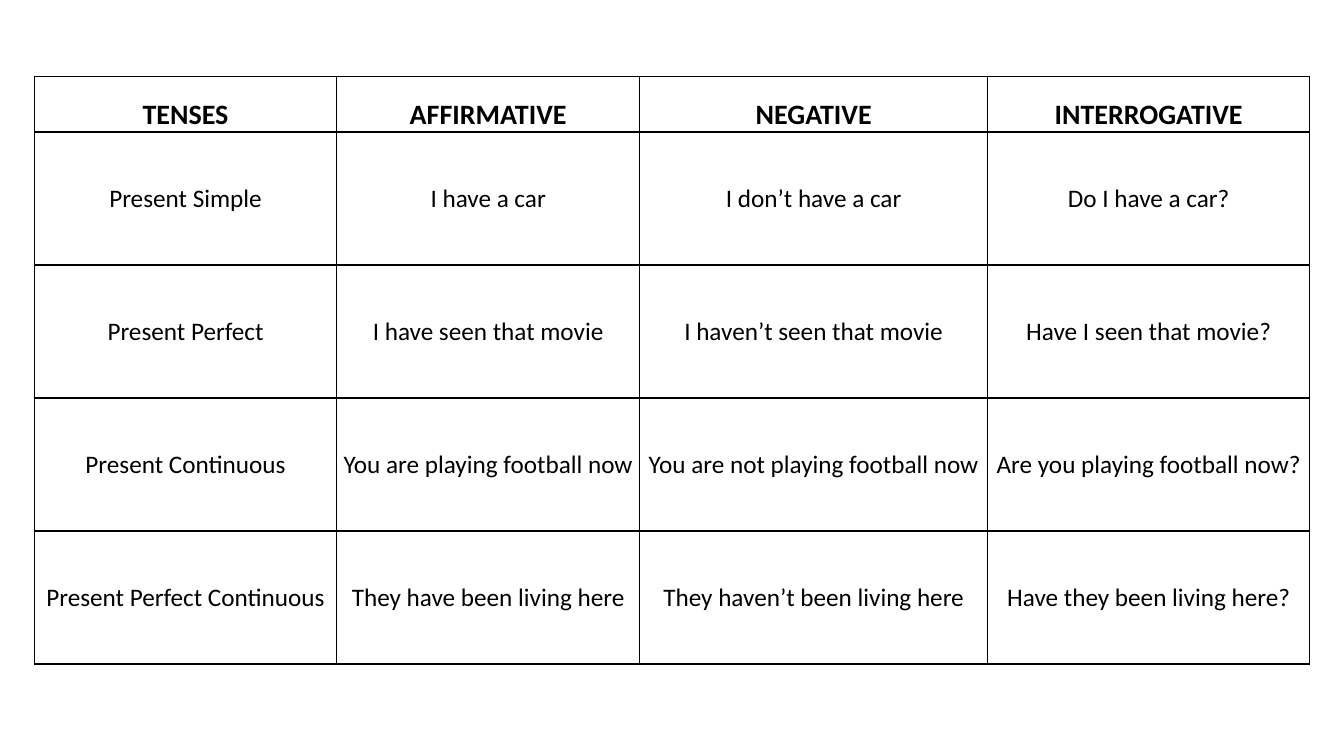
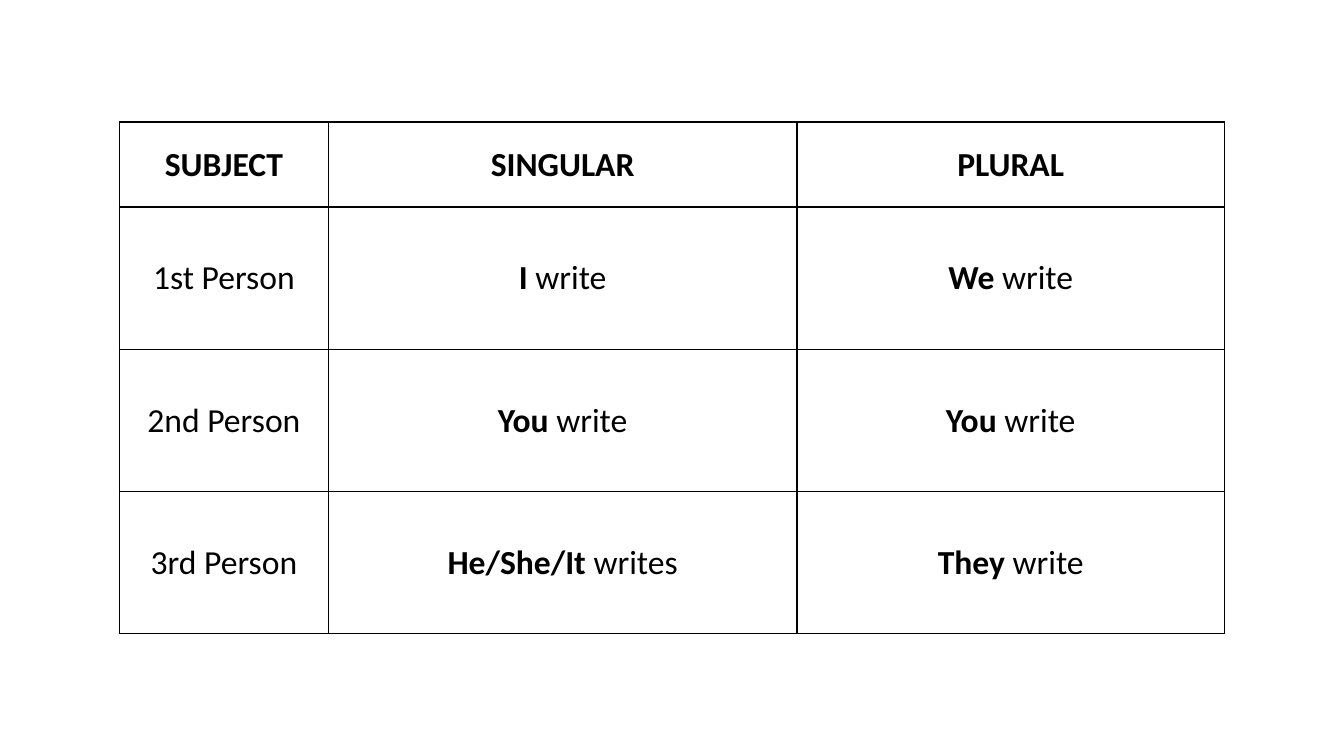
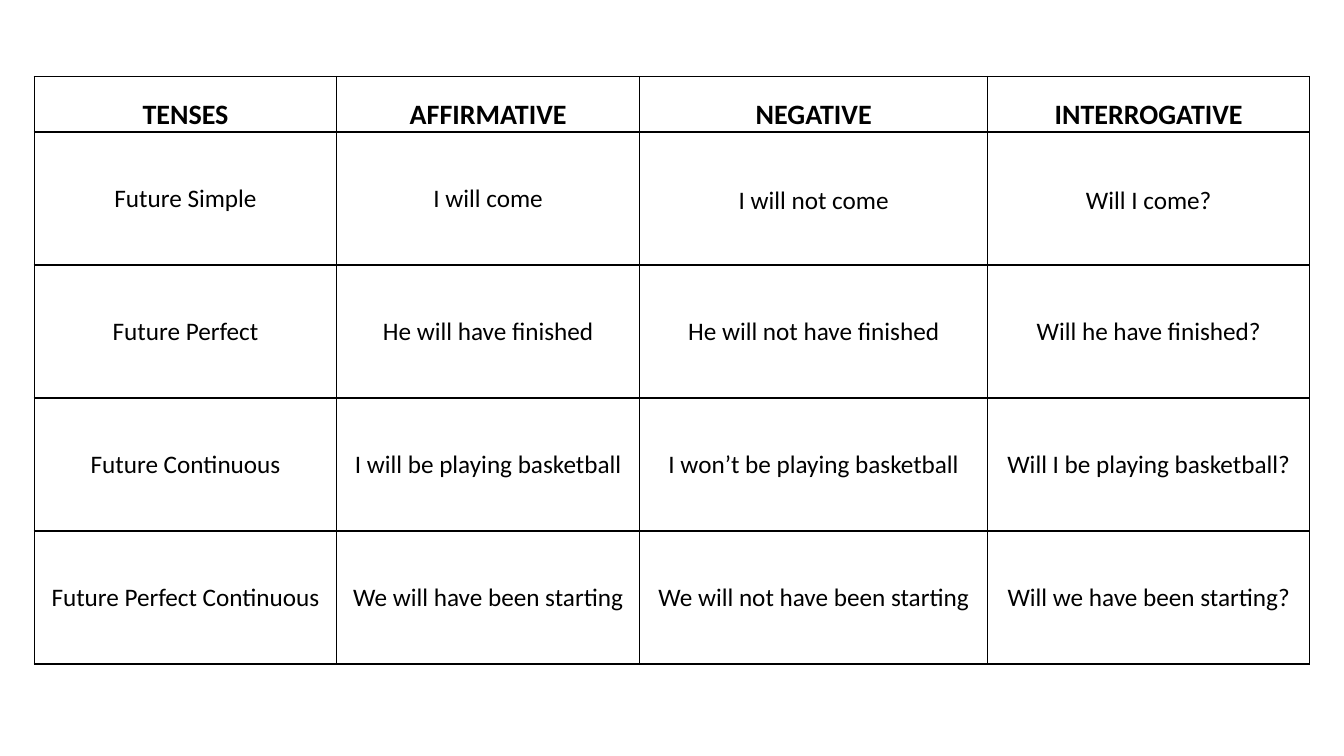
import pptx
import pptx.dml.color
import pptx.enum.text
import pptx.oxml
import pptx.oxml.ns
import pptx.util

BLACK = pptx.dml.color.RGBColor(0x00, 0x00, 0x00)
WHITE = pptx.dml.color.RGBColor(0xFF, 0xFF, 0xFF)
FONT = "Calibri"
BORDER_POINTS = 1

MIDDLE = pptx.enum.text.MSO_ANCHOR.MIDDLE
BOTTOM = pptx.enum.text.MSO_ANCHOR.BOTTOM

# Cell margins in points: left, top, right, bottom
TIGHT = (0.75, 0.75, 0.75, 0)
LOOSE = (11.5, 5, 11.5, 5)

# Shared table layouts; lengths are percentages of the slide's size
TENSE_LAYOUT = dict(top=10.13, columns=(22.52, 22.52, 25.92, 23.94),
                    header_height=7.33, row_height=17.6,
                    header_size=20, body_size=18, header_anchor=BOTTOM)
PERSON_LAYOUT = dict(top=16.13, columns=(15.53, 34.88, 31.8),
                     header_height=11.25, row_height=18.8,
                     header_size=24, body_size=24, header_anchor=MIDDLE)

TENSE_HEADER = ("TENSES", "AFFIRMATIVE", "NEGATIVE", "INTERROGATIVE")

PRESENT_TENSES = (
    TENSE_HEADER,
    ("Present Simple", "I have a car", "I don’t have a car", "Do I have a car?"),
    ("Present Perfect", "I have seen that movie",
     "I haven’t seen that movie", "Have I seen that movie?"),
    ("Present Continuous", "You are playing football now",
     "You are not playing football now", "Are you playing football now?"),
    ("Present Perfect Continuous", "They have been living here",
     "They haven’t been living here", "Have they been living here?"),
)

# A pair holds a bold pronoun and its plain verb
PERSONS = (
    ("SUBJECT", "SINGULAR", "PLURAL"),
    ("1st Person", ("I", " write"), ("We", " write")),
    ("2nd Person", ("You", " write"), ("You", " write")),
    ("3rd Person", ("He/She/It", " writes"), ("They", " write")),
)

FUTURE_TENSES = (
    TENSE_HEADER,
    ("Future Simple", "I will come", "I will not come", "Will I come?"),
    ("Future Perfect", "He will have finished",
     "He will not have finished", "Will he have finished?"),
    ("Future Continuous", "I will be playing basketball",
     "I won’t be playing basketball", "Will I be playing basketball?"),
    ("Future Perfect Continuous", "We will have been starting",
     "We will not have been starting", "Will we have been starting?"),
)


class Deck:
    """Holds the presentation, its style and the current slide."""

    def __init__(self):
        self.presentation = pptx.Presentation()
        self.presentation.slide_width = pptx.util.Inches(13.33)
        self.presentation.slide_height = pptx.util.Inches(7.5)
        self.slide = None

    def add_slide(self):
        blank = self.presentation.slide_layouts[6]
        self.slide = self.presentation.slides.add_slide(blank)

    def across(self, percent):
        return round(self.presentation.slide_width * percent / 100)

    def down(self, percent):
        return round(self.presentation.slide_height * percent / 100)

    def add_table(self, rows, top, columns, header_height, row_height,
                  header_size, body_size, header_anchor, loose_cells=()):
        """Add a horizontally centred table with a bold header row."""
        heights = [header_height] + [row_height] * (len(rows) - 1)
        width = sum(columns)
        table = self.slide.shapes.add_table(
            len(rows), len(columns), self.across((100 - width) / 2),
            self.down(top), self.across(width), self.down(sum(heights))).table
        table.first_row = False
        table.horz_banding = False
        for column, share in zip(table.columns, columns):
            column.width = self.across(share)
        for row, share in zip(table.rows, heights):
            row.height = self.down(share)

        for row_index, row in enumerate(rows):
            header = row_index == 0
            for column_index, content in enumerate(row):
                cell = table.cell(row_index, column_index)
                loose = (row_index, column_index) in loose_cells
                self.frame_cell(cell, LOOSE if loose else TIGHT)
                cell.vertical_anchor = header_anchor if header else MIDDLE
                paragraph = self.write_cell(
                    cell, content, header_size if header else body_size, header)
                if loose:
                    paragraph.line_spacing = 1.15

    def frame_cell(self, cell, margins):
        """Set the margins, the four borders and the fill of a cell."""
        (cell.margin_left, cell.margin_top, cell.margin_right,
         cell.margin_bottom) = map(pptx.util.Pt, margins)
        properties = cell._tc.get_or_add_tcPr()
        for side in "LRTB":
            properties.append(pptx.oxml.parse_xml(
                f'<a:ln{side} {pptx.oxml.ns.nsdecls("a")} '
                f'w="{pptx.util.Pt(BORDER_POINTS)}"><a:solidFill>'
                f'<a:srgbClr val="{BLACK}"/></a:solidFill></a:ln{side}>'))
        cell.fill.solid()
        cell.fill.fore_color.rgb = WHITE

    def write_cell(self, cell, content, size, bold):
        """Write plain text, or a pair whose first part is bold."""
        paragraph = cell.text_frame.paragraphs[0]
        paragraph.alignment = pptx.enum.text.PP_ALIGN.CENTER
        paragraph.font.name = FONT
        paragraph.font.size = pptx.util.Pt(size)
        paragraph.font.color.rgb = BLACK
        if isinstance(content, tuple):
            for text, run_bold in zip(content, (True, False)):
                run = paragraph.add_run()
                run.text = text
                run.font.bold = run_bold
        else:
            paragraph.add_run().text = content
            paragraph.font.bold = bold
        return paragraph


def main():
    deck = Deck()

    # Present tenses
    deck.add_slide()
    deck.add_table(PRESENT_TENSES, **TENSE_LAYOUT)

    # Persons of the verb
    deck.add_slide()
    deck.add_table(PERSONS, **PERSON_LAYOUT)

    # Future tenses
    deck.add_slide()
    deck.add_table(FUTURE_TENSES, **TENSE_LAYOUT, loose_cells={(1, 2), (1, 3)})

    deck.presentation.save("out.pptx")


if __name__ == "__main__":
    main()
